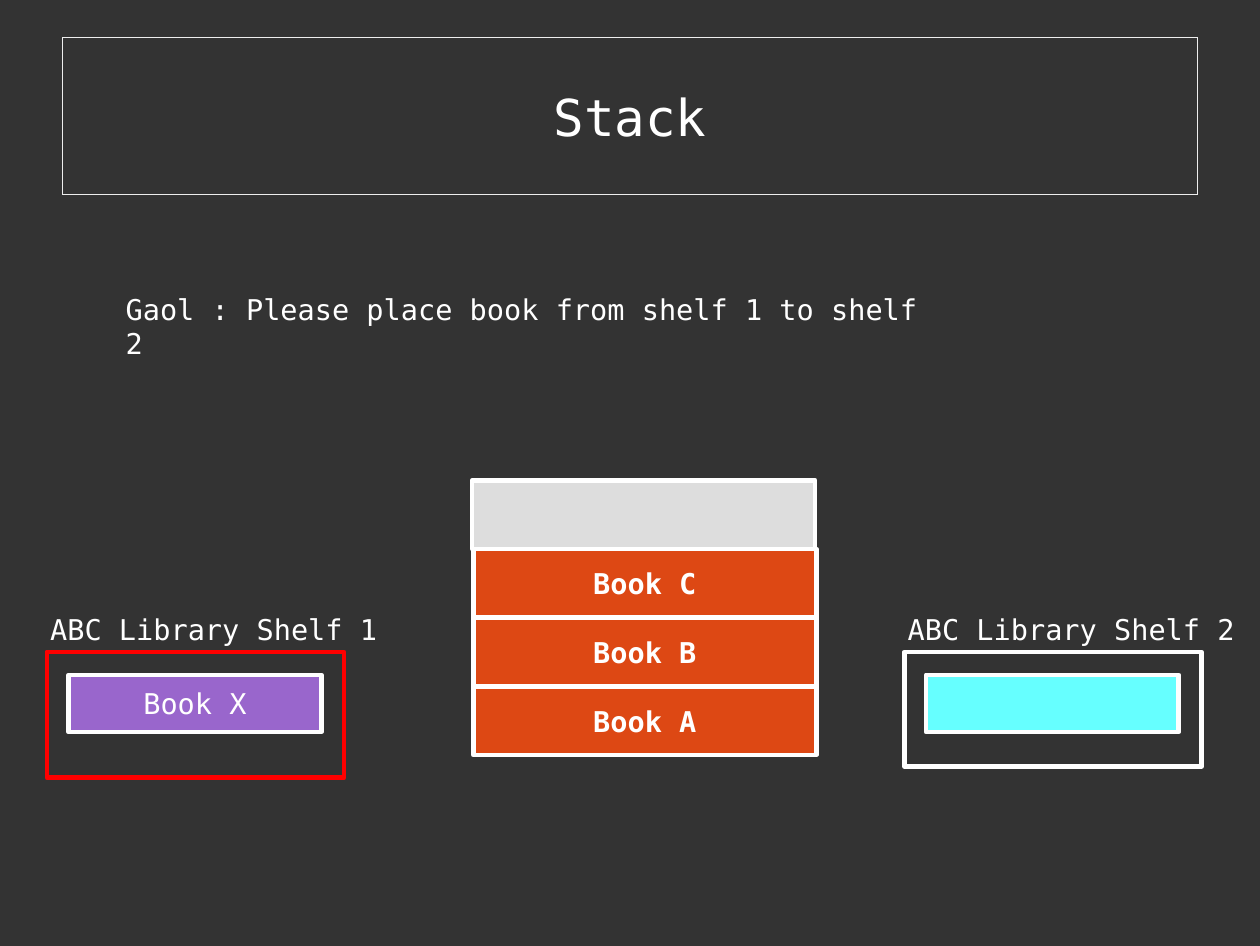
from pptx import Presentation
from pptx.dml.color import RGBColor
from pptx.enum.shapes import MSO_SHAPE as Shape
from pptx.enum.text import MSO_ANCHOR as Anchor, PP_ALIGN as Align
from pptx.util import Pt

PX = 9144
WHITE = "FFFFFF"
BACKGROUND = "333333"


def paint(fill, color):
    fill.solid()
    fill.fore_color.rgb = RGBColor.from_string(color)


def write(frame, text, size=18, bold=False, align=Align.LEFT):
    frame.text = text
    line = frame.paragraphs[0]
    line.alignment = align
    font = line.runs[0].font
    font.name = "DejaVu Sans Mono"
    font.size = Pt(size)
    font.bold = bold
    paint(font.fill, WHITE)


deck = Presentation()
deck.slide_width, deck.slide_height = 1102 * PX, 827 * PX
slide = deck.slides.add_slide(deck.slide_layouts[5])
paint(slide.background.fill, BACKGROUND)

title = slide.shapes.title
title.left, title.top, title.width, title.height = 55 * PX, 33 * PX, 992 * PX, 137 * PX
paint(title.fill, BACKGROUND)
paint(title.line.fill, "EEEEEE")
title.line.width = Pt(0)
heading = title.text_frame
heading.margin_left = heading.margin_right = heading.margin_top = heading.margin_bottom = 0
heading.vertical_anchor = Anchor.MIDDLE
write(heading, "Stack", size=32, align=Align.CENTER)

boxes = [
    (414, 600 - 60 * level, 300, 60, "DD4814", WHITE, f"Book {letter}", True)
    for level, letter in enumerate("ABC")
]
boxes += [
    (413, 420, 300, 60, "DDDDDD", WHITE, "", False),
    (41, 570, 260, 110, None, "FF0000", "", False),
    (60, 590, 221, 50, "9966CC", WHITE, "Book X", False),
    (791, 570, 260, 100, None, WHITE, "", False),
    (810, 590, 221, 50, "66FFFF", WHITE, "", False),
]
for left, top, width, height, color, outline, book, bold in boxes:
    box = slide.shapes.add_shape(Shape.RECTANGLE, left * PX, top * PX, width * PX, height * PX)
    box.shadow.inherit = False
    if color:
        paint(box.fill, color)
    else:
        box.fill.background()
    paint(box.line.fill, outline)
    box.line.width = Pt(2.89)
    if book:
        box.text_frame.word_wrap = False
        box.text_frame.vertical_anchor = Anchor.MIDDLE
        write(box.text_frame, book, bold=bold, align=Align.CENTER)

labels = [
    (34, 530, 306, "ABC Library Shelf 1"),
    (784, 530, 306, "ABC Library Shelf 2"),
    (100, 250, 742, "Gaol : Please place book from shelf 1 to shelf 2"),
]
for left, top, width, wording in labels:
    label = slide.shapes.add_textbox(left * PX, top * PX, width * PX, 39 * PX)
    label.text_frame.word_wrap = False
    write(label.text_frame, wording)

deck.save("out.pptx")
